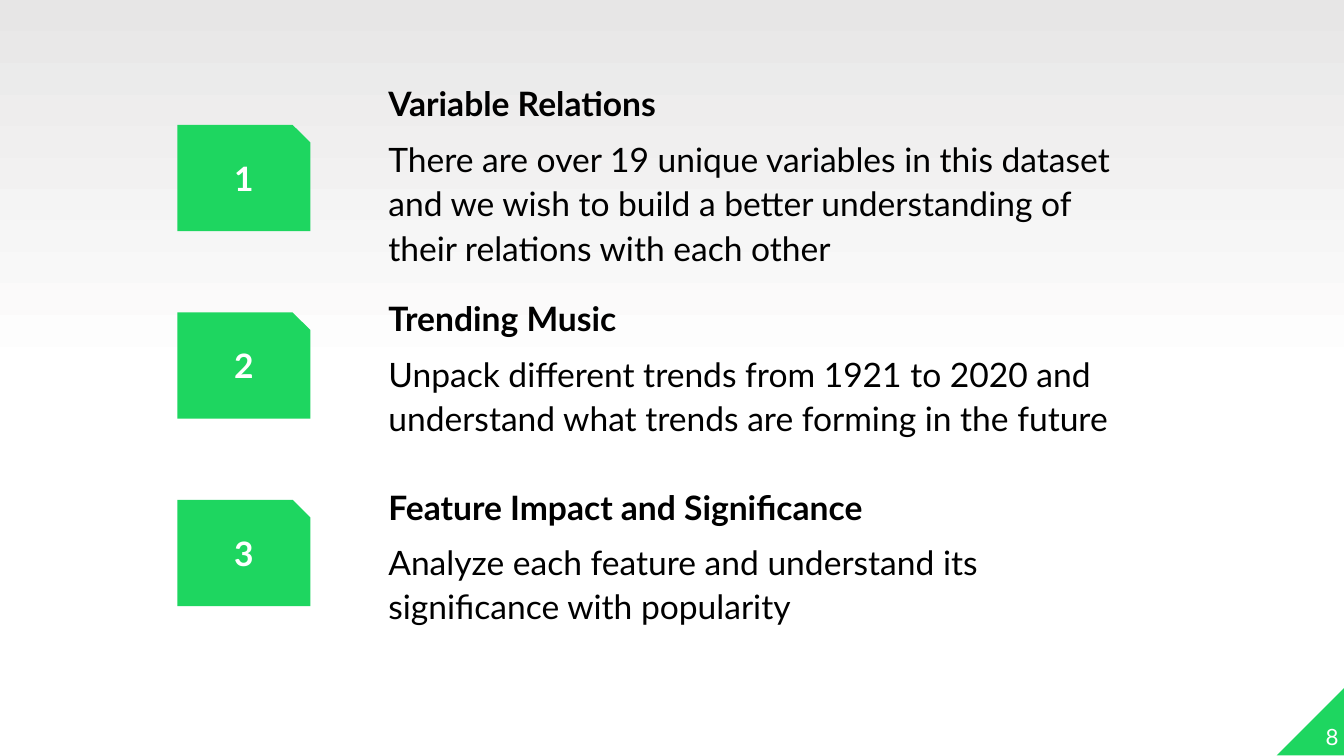
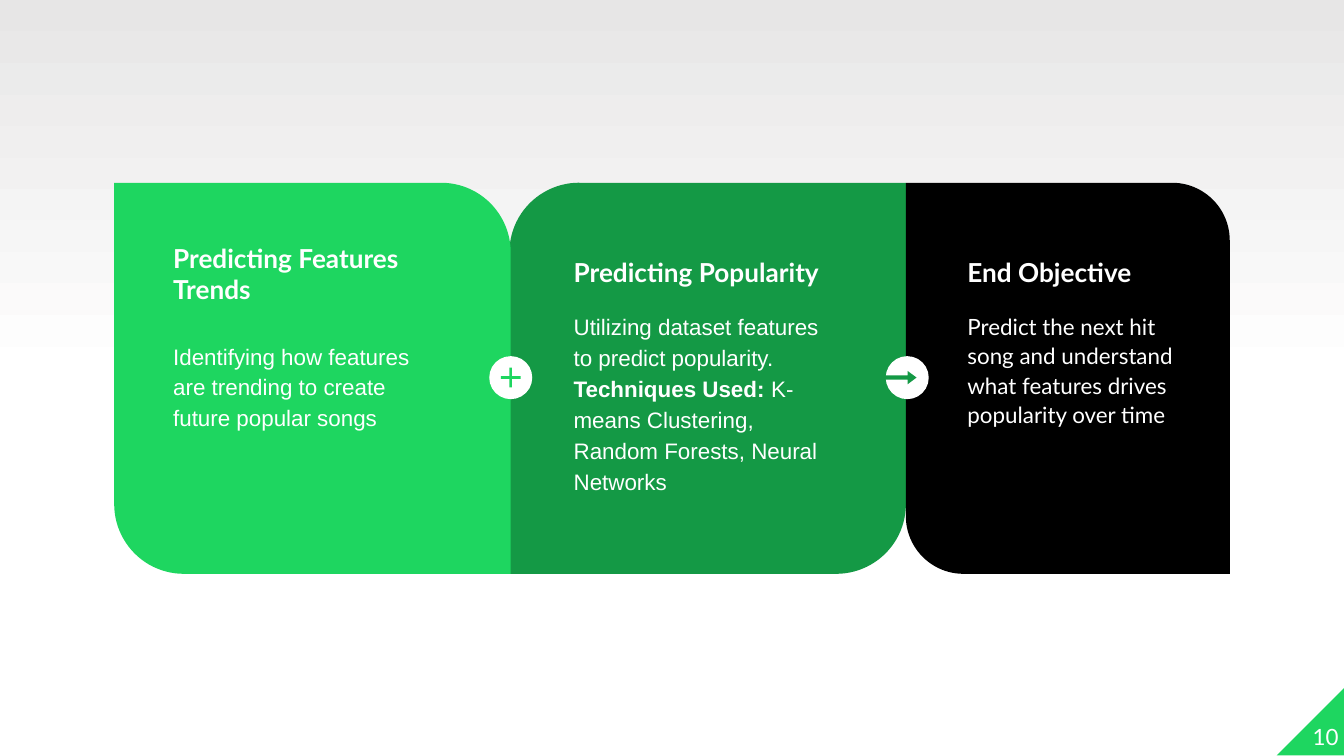
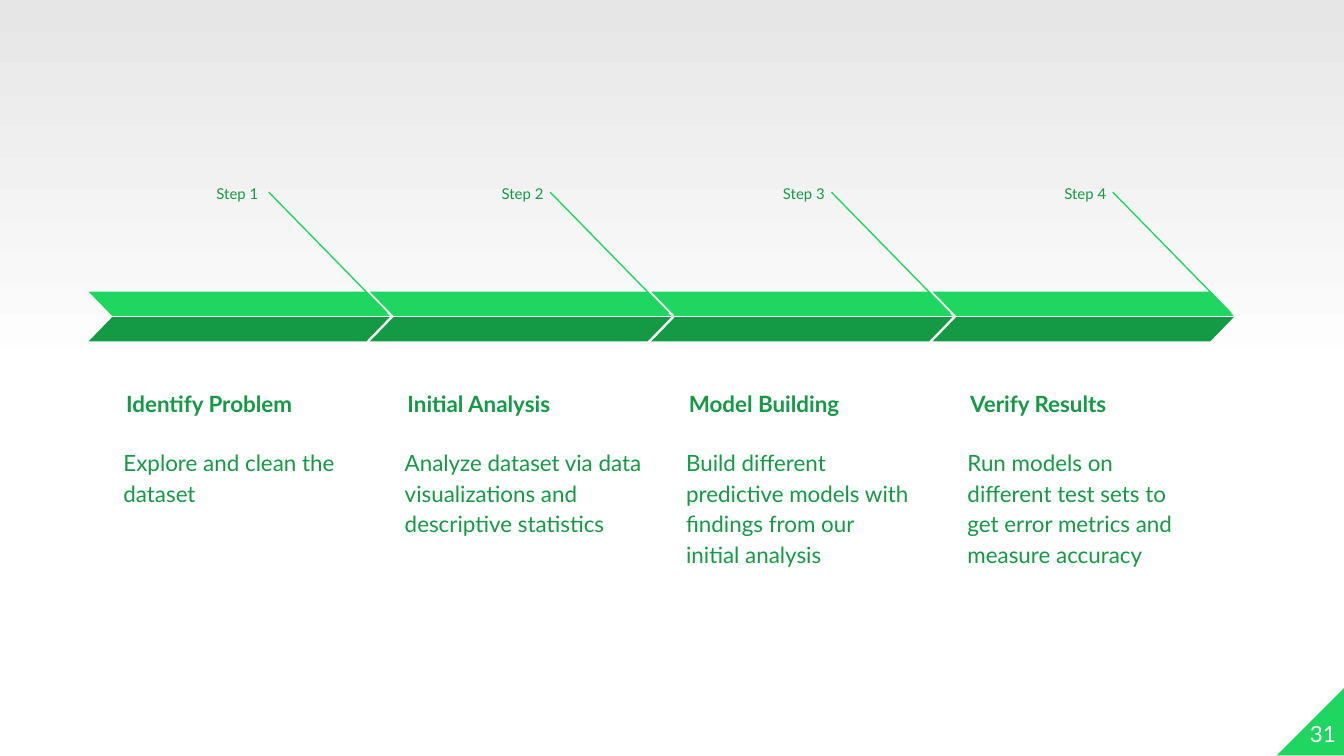
from copy import deepcopy

from pptx import Presentation
from pptx.dml.color import RGBColor
from pptx.enum.shapes import MSO_CONNECTOR, MSO_SHAPE
from pptx.enum.text import MSO_ANCHOR, PP_ALIGN
from pptx.oxml.ns import qn
from pptx.util import Inches, Pt
from lxml.etree import SubElement

COLORS = {
    "green": "1ED660",
    "dark_green": "149945",
    "black": "000000",
    "white": "FFFFFF",
    "gray": "E7E6E6",
}

# Text styles: font values, paragraph values, then frame values
PAGE_NUMBER = {
    "font": {"size": Pt(12)},
    "paragraph": {"alignment": PP_ALIGN.RIGHT},
    "frame": {"vertical_anchor": MSO_ANCHOR.BOTTOM},
    "inset": 0,
}
GOAL = {
    "font": {"size": Pt(18)},
    "paragraph": {"line_spacing": 1.1, "space_before": Pt(6)},
    "inset": 0,
}
GOAL_NUMBER = {
    "font": {"size": Pt(18)},
    "paragraph": {"alignment": PP_ALIGN.CENTER},
    "frame": {"vertical_anchor": MSO_ANCHOR.MIDDLE},
}
CARD_HEADING = {"font": {"size": Pt(14)}}
CARD_BODY = {
    "font": {"size": Pt(12), "name": "Arial"},
    "paragraph": {"line_spacing": 1.15},
}
OBJECTIVE_BODY = {
    "font": {"size": Pt(12)},
    "paragraph": {"line_spacing": 1.1, "space_before": Pt(6)},
}
STEP_LABEL = {
    "font": {"size": Pt(8)},
    "paragraph": {"alignment": PP_ALIGN.RIGHT, "line_spacing": 1.15, "space_after": Pt(16)},
}
STEP_BODY = {"font": {"size": Pt(12)}, "paragraph": {"line_spacing": 1.15}}
STEP_HEADING = {**STEP_BODY, "frame": {"vertical_anchor": MSO_ANCHOR.BOTTOM}}


def rgb(color):
    return RGBColor.from_string(COLORS[color])


def apply(target, values):
    for name, value in values.items():
        setattr(target, name, value)


class Deck:
    """Holds the shared style and the slide being built."""

    def __init__(self):
        self.presentation = Presentation()
        self.presentation.slide_width = Inches(10)
        self.presentation.slide_height = Inches(10) * 9 // 16
        self.slide = None
        self.shapes = None
        self.style_background()

    def style_background(self):
        fill = self.presentation.slide_master.background.fill
        fill.gradient()
        fill.gradient_angle = 90
        stop_list = self.presentation.slide_master.element.find(".//" + qn("a:gsLst"))
        stop_list.insert(1, deepcopy(stop_list[0]))
        stops = zip(fill.gradient_stops, (0, 0.5, 1), ("white", "white", "gray"))
        for stop, position, color in stops:
            stop.position = position
            stop.color.rgb = rgb(color)

    def add_corner_to_master(self):
        corner = self.shape(MSO_SHAPE.RIGHT_TRIANGLE, (9.5, 5.11, 0.51, 0.51), "green", flip=True)
        corner.element.nvSpPr.cNvPr.set("id", "20")
        self.presentation.slide_master.element.cSld.spTree.append(corner.element)

    def start_slide(self, number, left=9.46, top=5.07):
        layout = self.presentation.slide_layouts[6]
        first = self.slide is None
        self.slide = self.presentation.slides.add_slide(layout)
        self.shapes = self.slide.shapes
        if first:
            self.add_corner_to_master()
        self.text((left, top, 0.5, 0.51), [number], PAGE_NUMBER, "white")

    def start_group(self):
        self.shapes = self.slide.shapes.add_group_shape().shapes

    def shape(self, kind, box, color, adjustments=(), flip=False):
        shape = self.shapes.add_shape(kind, *map(Inches, box))
        shape.shadow.inherit = False
        shape.fill.solid()
        shape.fill.fore_color.rgb = rgb(color)
        shape.line.fill.background()
        for index, value in enumerate(adjustments):
            shape.adjustments[index] = value
        if flip:
            shape.element.spPr.find(qn("a:xfrm")).set("flipH", "1")
        return shape

    def line(self, start, end, color, width):
        ends = map(Inches, (*start, *end))
        connector = self.shapes.add_connector(MSO_CONNECTOR.STRAIGHT, *ends)
        connector.line.color.rgb = rgb(color)
        connector.line.width = Pt(width)
        SubElement(connector.element.spPr, qn("a:effectLst"))

    def text(self, box, paragraphs, style, color, bold=False):
        """Each paragraph is a string or a list of (text, bold) runs."""
        frame = self.shapes.add_textbox(*map(Inches, box)).text_frame
        frame.word_wrap = True
        inset = Inches(style.get("inset", 0.1))
        apply(frame, {f"margin_{side}": inset for side in ("left", "top", "right", "bottom")})
        apply(frame, style.get("frame", {}))
        for index, runs in enumerate(paragraphs):
            paragraph = frame.add_paragraph() if index else frame.paragraphs[0]
            apply(paragraph, style.get("paragraph", {}))
            if isinstance(runs, str):
                runs = [(runs, bold)]
            for words, is_bold in runs:
                run = paragraph.add_run()
                run.text = words
                apply(run.font, {"name": "Lato", "bold": is_bold, **style["font"]})
                run.font.color.rgb = rgb(color)


def build_goals(deck):
    deck.start_slide("8")
    goals = [
        (0.59, 1.63, "Variable Relations",
         "There are over 19 unique variables in this dataset and we wish to build "
         "a better understanding of their relations with each other"),
        (2.19, 1.24, "Trending Music",
         "Unpack different trends from 1921 to 2020 and understand what trends "
         "are forming in the future"),
        (3.59, 1.63, "Feature Impact and Significance",
         "Analyze each feature and understand its significance with popularity"),
    ]
    for index, (text_top, height, heading, body) in enumerate(goals):
        top = 0.93 + index * 2.79 / 2
        deck.shape(MSO_SHAPE.SNIP_1_RECTANGLE, (1.32, top, 0.99, 0.79), "green", [0.167])
        deck.text((1.49, top + 0.23, 0.65, 0.33), [str(index + 1)], GOAL_NUMBER, "white", True)
        deck.text((2.89, text_top, 5.63, height), [[(heading, True)], body], GOAL, "black")


def build_objective(deck):
    deck.start_slide("10")
    # Cards: left, width, color, corners, text left, text width,
    # heading top and height, body top and height, texts, body style
    cards = [
        (3.79, 2.95, "dark_green", (0.178, 0), 4.17, 2.2, (1.81, 0.41), (2.2, 1.42),
         "Predicting Popularity",
         ["Utilizing dataset features to predict popularity.",
          [("Techniques Used: ", True),
           ("K-means Clustering, Random Forests, Neural Networks", False)]], CARD_BODY),
        (0.85, 2.95, "green", (0, 0.178), 1.19, 2.2, (1.7, 0.72), (2.42, 1.19),
         "Predicting Features Trends",
         ["Identifying how features are trending to create future popular songs"], CARD_BODY),
        (6.74, 2.41, "black", (0, 0.178), 7.1, 1.94, (1.81, 0.85), (2.21, 1.26),
         "End Objective",
         ["Predict the next hit song and understand what features drives popularity over time"],
         OBJECTIVE_BODY),
    ]
    for (left, width, color, corners, text_left, text_width, heading_span, body_span,
         heading, body, body_style) in cards:
        deck.start_group()
        deck.shape(MSO_SHAPE.ROUND_2_DIAG_RECTANGLE, (left, 1.36, width, 2.91), color, corners)
        for (top, height), words, style, bold in (
            (heading_span, [heading], CARD_HEADING, True),
            (body_span, body, body_style, False),
        ):
            deck.text((text_left, top, text_width, height), words, style, "white", bold)

    # Joints between the cards
    joints = [
        (6.59, MSO_SHAPE.RIGHT_ARROW, (6.58, 2.76, 0.24, 0.1), "dark_green", (0.32, 0.67)),
        (3.64, MSO_SHAPE.MATH_PLUS, (3.7, 2.71, 0.2, 0.2), "green", (0.099,)),
    ]
    for left, symbol, box, color, adjustments in joints:
        deck.start_group()
        deck.shape(MSO_SHAPE.OVAL, (left, 2.65, 0.32, 0.32), "white")
        deck.shape(symbol, box, color, adjustments)


def build_steps(deck):
    deck.start_slide("31", 9.44, 5.05)
    steps = [
        ("Step 1 ", "Identify Problem", "Explore and clean the dataset", 1.88),
        ("Step 2", "Initial Analysis",
         "Analyze dataset via data visualizations and descriptive statistics", 2),
        ("Step 3", "Model Building",
         "Build different predictive models with findings from our initial analysis", 1.88),
        ("Step 4", "Verify Results",
         "Run models on different test sets to get error metrics and measure accuracy", 1.88),
    ]
    for index, (label, heading, body, body_width) in enumerate(steps):
        left = 0.66 + index * 6.28 / 3
        deck.start_group()
        deck.text((left + 0.63, 1.28, 0.76, 0.29), [label], STEP_LABEL, "dark_green")
        deck.text((left + 0.18, 2.65, 1.84, 0.55), [heading], STEP_HEADING, "dark_green", True)
        deck.text((left + 0.16, 3.21, body_width, 0.9), [body], STEP_BODY, "dark_green")
        deck.line((left + 1.34, 1.43), (left + 2.22, 2.33), "green", 0.75)
        # Two mirrored halves form the arrow band
        for top, color, flip in ((2.17, "green", True), (2.36, "dark_green", False)):
            deck.shape(MSO_SHAPE.PARALLELOGRAM, (left, top, 2.24, 0.18), color, [0.97], flip)


def main():
    deck = Deck()
    build_goals(deck)
    build_objective(deck)
    build_steps(deck)
    deck.presentation.save("out.pptx")


if __name__ == "__main__":
    main()
